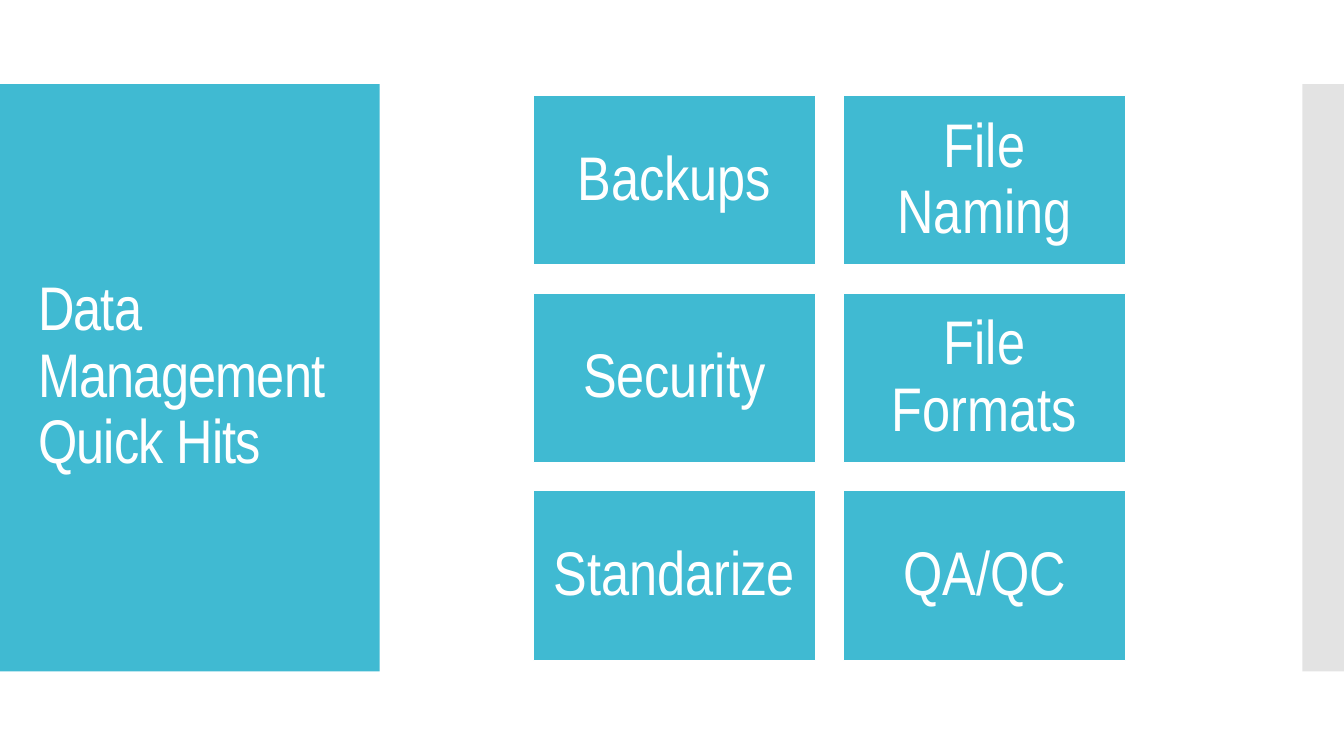
from dataclasses import dataclass
from itertools import product

from lxml.etree import SubElement
from pptx import Presentation
from pptx.dml.color import RGBColor
from pptx.enum.shapes import MSO_SHAPE
from pptx.enum.text import MSO_ANCHOR, PP_ALIGN
from pptx.oxml.ns import qn
from pptx.util import Cm, Pt


@dataclass(frozen=True)
class Theme:
    teal: RGBColor = RGBColor(0x40, 0xBA, 0xD2)
    grey: RGBColor = RGBColor(0xC8, 0xC8, 0xC8)
    white: RGBColor = RGBColor(0xFF, 0xFF, 0xFF)
    face: str = "Arial Narrow"
    size: Pt = Pt(44)
    edge: Pt = Pt(0.85)


def apply(item, form):
    for name, value in form.items():
        setattr(item, name, value)


class Deck:
    """Draws styled elements on the current slide."""

    def __init__(self, theme):
        self.theme = theme
        self.show = Presentation()
        apply(self.show, {"slide_width": Cm(33.87), "slide_height": Cm(19.05)})
        self.slide = self.show.slides.add_slide(self.show.slide_layouts[6])

    def panel(self, box, color, alpha=None):
        shape = self.slide.shapes.add_shape(MSO_SHAPE.RECTANGLE, *map(Cm, box))
        shape.shadow.inherit = False
        shape.fill.solid()
        shape.fill.fore_color.rgb = color
        shape.line.fill.background()
        if alpha is not None:
            tone = shape.fill._xPr.find(".//" + qn("a:srgbClr"))
            SubElement(tone, qn("a:alpha"), val=str(alpha * 1000))
        return shape

    def label(self, shape, text, align, inset):
        frame = shape.text_frame
        sides = ("left", "top", "right", "bottom")
        apply(frame, {f"margin_{side}": Cm(gap) for side, gap in zip(sides, inset)})
        apply(frame, {"word_wrap": True, "vertical_anchor": MSO_ANCHOR.MIDDLE})
        para = frame.paragraphs[0]
        apply(para, {"alignment": align, "line_spacing": 0.9})
        run = para.add_run()
        run.text = text
        apply(run.font, {"name": self.theme.face, "size": self.theme.size})
        run.font.color.rgb = self.theme.white
        return run

    def title(self, box, text):
        shape = self.slide.shapes.add_textbox(*map(Cm, box))
        run = self.label(shape, text, PP_ALIGN.LEFT, (0.25, 0.13, 0.25, 0.13))
        run.font._element.set("spc", "-60")

    def tile(self, box, text):
        shape = self.panel(box, self.theme.teal)
        shape.line.color.rgb = self.theme.white
        shape.line.width = self.theme.edge
        self.label(shape, text, PP_ALIGN.CENTER, (0.45,) * 4)


def main():
    theme = Theme()
    deck = Deck(theme)
    deck.panel((0, 2.12, 9.57, 14.8), theme.teal)
    deck.panel((32.82, 2.12, 1.05, 14.8), theme.grey, 50)
    deck.title((0.71, 3.12, 8.18, 12.78), "Data Management Quick Hits")

    topics = ("Backups", "File Naming", "Security",
              "File Formats", "Standarize", "QA/QC")
    left, top, wide, high, gap = 13.44, 2.41, 7.11, 4.27, 0.71
    for (row, col), topic in zip(product(range(3), range(2)), topics):
        spot = (left + col * (wide + gap), top + row * (high + gap))
        deck.tile((*spot, wide, high), topic)

    deck.show.save("out.pptx")


if __name__ == "__main__":
    main()
